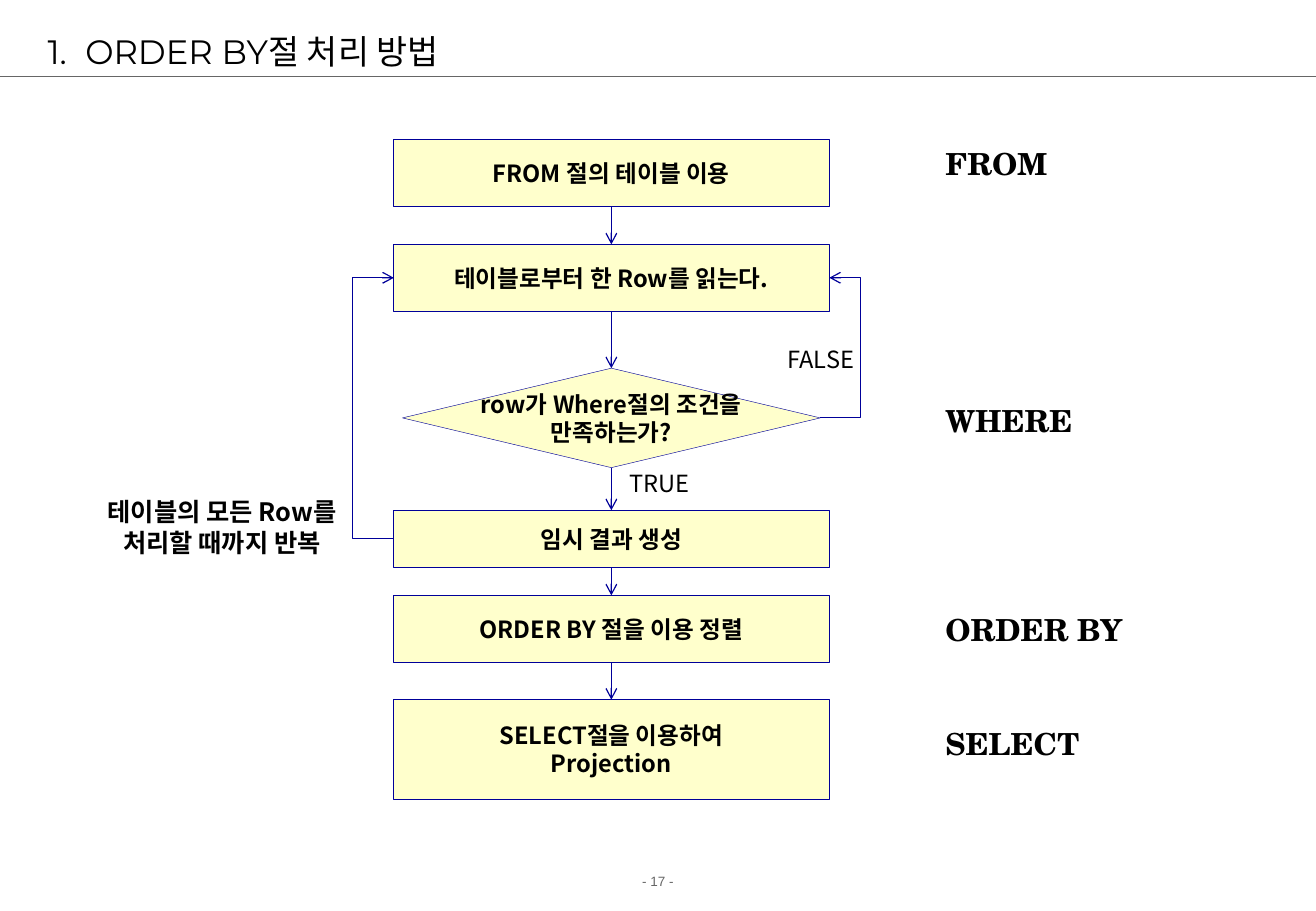
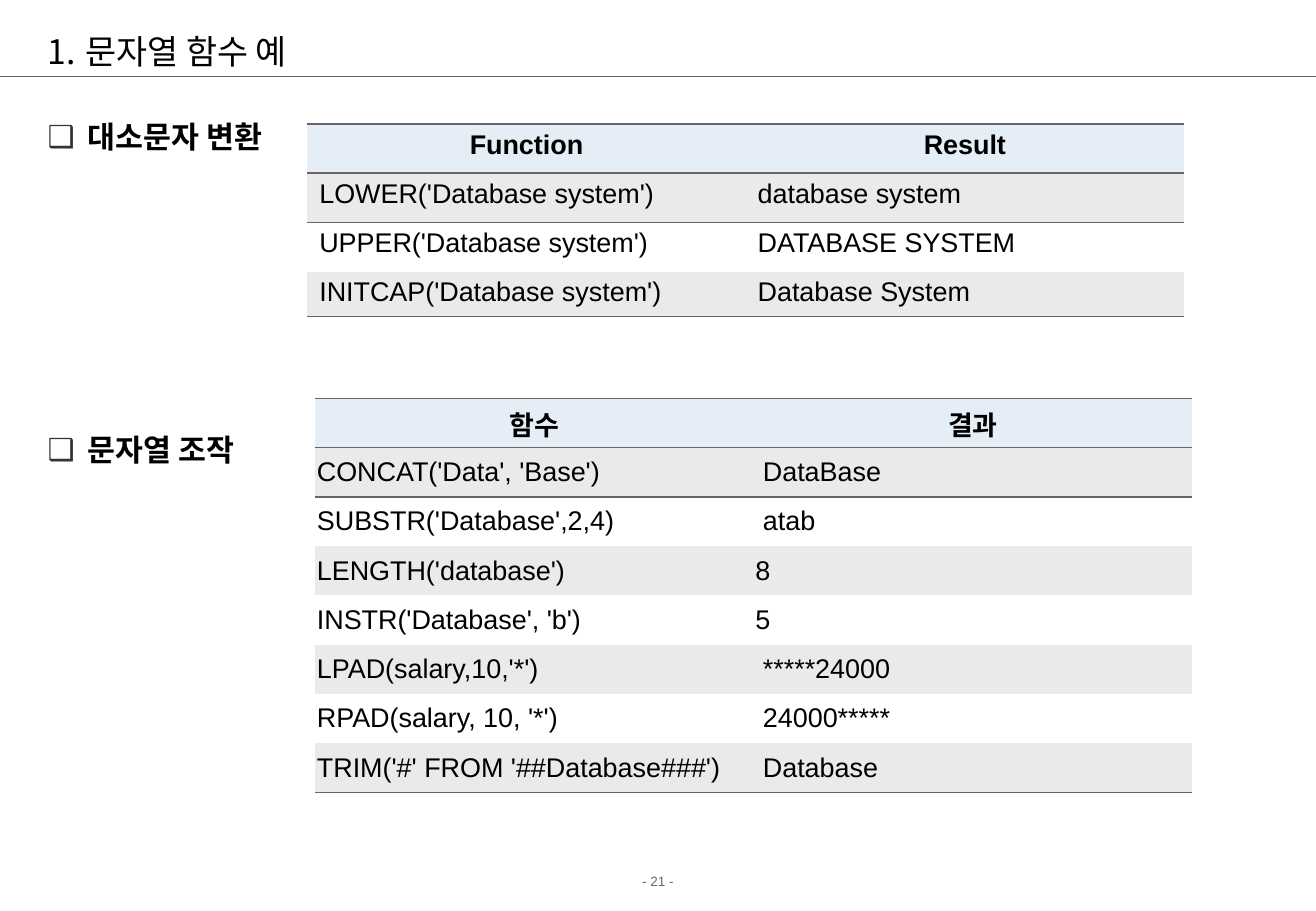
from dataclasses import dataclass

from lxml.etree import SubElement
from pptx import Presentation
from pptx.dml.color import RGBColor
from pptx.enum.shapes import MSO_CONNECTOR, MSO_SHAPE
from pptx.enum.text import MSO_ANCHOR, MSO_AUTO_SIZE, PP_ALIGN
from pptx.oxml.ns import qn
from pptx.util import Cm, Pt


@dataclass(frozen=True)
class Theme:
    ink: str = "000000"
    gray: str = "666666"
    bullet: str = "333333"
    navy: str = "000099"
    cream: str = "FFFFCC"
    header: str = "E5EDF7"
    stripe: str = "EAEAEA"
    white: str = "FFFFFF"
    title_font: str = "Montserrat"
    sans: str = "Arial"
    korean: str = "Noto Sans CJK KR"
    serif: str = "TeX Gyre Schola"
    title_size: float = 20
    heading_size: float = 18
    table_size: float = 16
    note_size: float = 15
    flow_size: float = 14
    footer_size: float = 8
    rule: float = 0.75
    outline: float = 0.25
    border: float = 0.96


THEME = Theme()
PAGE_WIDTH = 27.53
TOP, LEFT, BOTTOM, RIGHT = range(4)
PLAIN_TABLE_STYLE = "{2D5ABB26-0587-4C30-8999-92F81FD0307C}"


def rgb(color):
    return RGBColor.from_string(color)


def place(shape, left, top, width, height):
    shape.left, shape.top = Cm(left), Cm(top)
    shape.width, shape.height = Cm(width), Cm(height)


def add_span(para, text, font, size, bold=False, color=THEME.ink):
    """Add one run with its Latin and East Asian typefaces."""
    span = para.add_run()
    span.text = text
    span.font.name = font
    span.font.size = Pt(size)
    span.font.bold = bold
    span.font.color.rgb = rgb(color)
    SubElement(span.font._element, qn("a:ea")).set("typeface", THEME.korean)


def add_bullet(para, hang, color, tag, **attributes):
    """Give a paragraph a hanging bullet; hang is in centimetres."""
    properties = para._p.get_or_add_pPr()
    properties.set("marL", str(Cm(hang)))
    properties.set("indent", str(-Cm(hang)))
    bullet_color = SubElement(properties, qn("a:buClr"))
    SubElement(bullet_color, qn("a:srgbClr")).set("val", color)
    SubElement(properties, qn("a:buFont")).set("typeface", THEME.sans)
    SubElement(properties, qn(tag), attributes)


def add_label(page, lines, left, top, width, height, font, size,
              bold=False, align=PP_ALIGN.LEFT, color=THEME.ink):
    box = page.shapes.add_textbox(Cm(left), Cm(top), Cm(width), Cm(height))
    frame = box.text_frame
    frame.word_wrap = True
    for index, line in enumerate(lines):
        para = frame.add_paragraph() if index else frame.paragraphs[0]
        para.alignment = align
        add_span(para, line, font, size, bold, color)


def style_line(connector, color):
    connector.line.color.rgb = rgb(color)
    connector.line.width = Pt(THEME.rule)
    SubElement(connector._element.spPr, qn("a:effectLst"))


def add_page(deck, layout, title, number):
    """Add a slide with the shared title, rule and page number."""
    page = deck.slides.add_slide(deck.slide_layouts[layout])
    place(page.shapes.title, 0.74, 0.53, 25.83, 1.07)
    frame = page.shapes.title.text_frame
    frame.auto_size = MSO_AUTO_SIZE.NONE
    frame.vertical_anchor = MSO_ANCHOR.MIDDLE
    para = frame.paragraphs[0]
    add_bullet(para, 0.79, THEME.ink, "a:buAutoNum", type="arabicPeriod")
    para.alignment = PP_ALIGN.LEFT
    add_span(para, title, THEME.title_font, THEME.title_size)

    rule = page.shapes.add_connector(
        MSO_CONNECTOR.STRAIGHT, 0, Cm(1.6), Cm(PAGE_WIDTH), Cm(1.6))
    style_line(rule, THEME.gray)
    add_label(page, [f"- {number} -"], 0, 18.14, PAGE_WIDTH, 0.61, THEME.sans,
              THEME.footer_size, align=PP_ALIGN.CENTER, color=THEME.gray)
    return page


def add_step(page, lines, top, height, width=9.12,
             kind=MSO_SHAPE.FLOWCHART_PROCESS):
    """Add a flow chart shape centred on the flow's axis."""
    axis = 12.79
    step = page.shapes.add_shape(
        kind, Cm(axis - width / 2), Cm(top), Cm(width), Cm(height))
    step.shadow.inherit = False
    step.fill.solid()
    step.fill.fore_color.rgb = rgb(THEME.cream)
    step.line.color.rgb = rgb(THEME.navy)
    step.line.width = Pt(THEME.outline)
    frame = step.text_frame
    frame.word_wrap = False
    frame.vertical_anchor = MSO_ANCHOR.MIDDLE
    frame.margin_left = frame.margin_right = 0
    frame.margin_top = frame.margin_bottom = 0
    para = frame.paragraphs[0]
    para.alignment = PP_ALIGN.CENTER
    for index, line in enumerate(lines):
        if index:
            para.add_line_break()
        add_span(para, line, THEME.korean, THEME.flow_size, bold=True)
    return step


def add_arrow(page, source, target, sides=(BOTTOM, TOP),
              kind=MSO_CONNECTOR.STRAIGHT):
    arrow = page.shapes.add_connector(kind, 0, 0, 0, 0)
    arrow.begin_connect(source, sides[0])
    arrow.end_connect(target, sides[1])
    style_line(arrow, THEME.navy)
    SubElement(arrow.line._get_or_add_ln(), qn("a:tailEnd")).set("type", "arrow")
    return arrow


def add_loop(page, source, target, side, lane):
    """Lead an arrow back along a vertical lane, given in centimetres."""
    arrow = add_arrow(page, source, target, (side, side), MSO_CONNECTOR.ELBOW)
    if abs(arrow.end_x - arrow.begin_x) < Cm(0.01):
        arrow.end_x = arrow.begin_x + Cm(0.01)  # the bend is a share of the width
    bend = (Cm(lane) - arrow.begin_x) / (arrow.end_x - arrow.begin_x)
    guides = arrow._element.spPr.find(qn("a:prstGeom")).get_or_add_avLst()
    SubElement(guides, qn("a:gd"),
               name="adj1", fmla=f"val {round(bend * 100000)}")


def add_border(cell, tag):
    line = SubElement(cell._tc.get_or_add_tcPr(), qn(tag),
                      w=str(Pt(THEME.border)))
    fill = SubElement(line, qn("a:solidFill"))
    SubElement(fill, qn("a:srgbClr")).set("val", THEME.gray)


def add_function_table(page, rows, left, top, heights, margin, anchor,
                       text_indent=0):
    """Add a striped table; text_indent shifts results that are not numbers."""
    column = 9.17
    table = page.shapes.add_table(
        len(rows), 2, Cm(left), Cm(top), Cm(2 * column), Cm(sum(heights))).table
    table._tbl.tblPr.find(qn("a:tableStyleId")).text = PLAIN_TABLE_STYLE
    for table_column in table.columns:
        table_column.width = Cm(column)
    for row, (texts, height) in enumerate(zip(rows, heights)):
        table.rows[row].height = Cm(height)
        for col, text in enumerate(texts):
            cell = table.cell(row, col)
            is_header = row == 0
            indented = col == 1 and not is_header and not text.isdigit()
            cell.margin_left = Cm(margin + (text_indent if indented else 0))
            cell.margin_right = Cm(margin)
            cell.vertical_anchor = anchor
            if row < 2:
                add_border(cell, "a:lnT")
            if row in (0, len(rows) - 1):
                add_border(cell, "a:lnB")
            cell.fill.solid()
            stripe = THEME.stripe if row % 2 else THEME.white
            cell.fill.fore_color.rgb = rgb(THEME.header if is_header else stripe)
            para = cell.text_frame.paragraphs[0]
            para.alignment = PP_ALIGN.CENTER if is_header else PP_ALIGN.LEFT
            add_span(para, text, THEME.sans, THEME.table_size, bold=is_header)


def add_headings(page, headings):
    """Fill the body placeholder with (text, points before) headings."""
    body = page.placeholders[1]
    place(body, 0.74, 2.35, 25.83, 14.36)
    frame = body.text_frame
    frame.auto_size = MSO_AUTO_SIZE.NONE
    for index, (text, before) in enumerate(headings):
        para = frame.add_paragraph() if index else frame.paragraphs[0]
        add_bullet(para, 0.84, THEME.bullet, "a:buChar", char="❑")
        para.space_before = Pt(before)
        add_span(para, text, THEME.sans, THEME.heading_size, bold=True)


def build_order_by_page(deck):
    page = add_page(deck, 5, "ORDER BY절 처리 방법", 17)
    source = add_step(page, ["FROM 절의 테이블 이용"], 2.92, 1.4)
    read = add_step(page, ["테이블로부터 한 Row를 읽는다."], 5.11, 1.4)
    check = add_step(page, ["row가 Where절의 조건을", "만족하는가?"], 7.7, 2.08,
                     8.74, MSO_SHAPE.FLOWCHART_DECISION)
    interim = add_step(page, ["임시 결과 생성"], 10.67, 1.19)
    order = add_step(page, ["ORDER BY 절을 이용 정렬"], 12.45, 1.4)
    select = add_step(page, ["SELECT절을 이용하여", "Projection"], 14.63, 2.08)

    steps = [source, read, check, interim, order, select]
    for upper, lower in zip(steps, steps[1:]):
        add_arrow(page, upper, lower)
    add_loop(page, check, read, RIGHT, 18.01)
    add_loop(page, interim, read, LEFT, 7.37)

    add_label(page, ["테이블의 모든 Row를", "처리할 때까지 반복"], 1.47, 10.26,
              6.35, 1.52, THEME.korean, THEME.note_size, True, PP_ALIGN.CENTER)
    for text, left, top, width in [("TRUE", 10.62, 9.68, 6.35),
                                   ("FALSE", 15.57, 7.09, 3.2)]:
        add_label(page, [text], left, top, width, 0.86, THEME.korean,
                  THEME.flow_size, align=PP_ALIGN.CENTER)
    for text, top in [("FROM", 2.92), ("WHERE", 8.28),
                      ("ORDER BY", 12.65), ("SELECT", 15.04)]:
        add_label(page, [text], 19.53, top, 5.82, 1.02, THEME.serif,
                  THEME.heading_size, bold=True)


def build_string_function_page(deck):
    page = add_page(deck, 1, "문자열 함수 예", 21)
    add_headings(page, [("대소문자 변환", 0), ("문자열 조작", 164)])
    case_rows = [
        ("Function", "Result"),
        ("LOWER('Database system')", "database system"),
        ("UPPER('Database system')", "DATABASE SYSTEM"),
        ("INITCAP('Database system')", "Database System"),
    ]
    add_function_table(page, case_rows, 6.43, 2.59, [1.03] * 3 + [0.94],
                       0.25, MSO_ANCHOR.TOP)
    text_rows = [
        ("함수", "결과"),
        ("CONCAT('Data', 'Base')", "DataBase"),
        ("SUBSTR('Database',2,4)", "atab"),
        ("LENGTH('database')", "8"),
        ("INSTR('Database', 'b')", "5"),
        ("LPAD(salary,10,'*')", "*****24000"),
        ("RPAD(salary, 10, '*')", "24000*****"),
        ("TRIM('#' FROM '##Database###')", "Database"),
    ]
    add_function_table(page, text_rows, 6.6, 8.33, [1.03] * len(text_rows),
                       0.03, MSO_ANCHOR.MIDDLE, text_indent=0.16)


def main():
    deck = Presentation()
    deck.slide_width, deck.slide_height = Cm(PAGE_WIDTH), Cm(19.05)
    build_order_by_page(deck)
    build_string_function_page(deck)
    deck.save("out.pptx")


if __name__ == "__main__":
    main()
